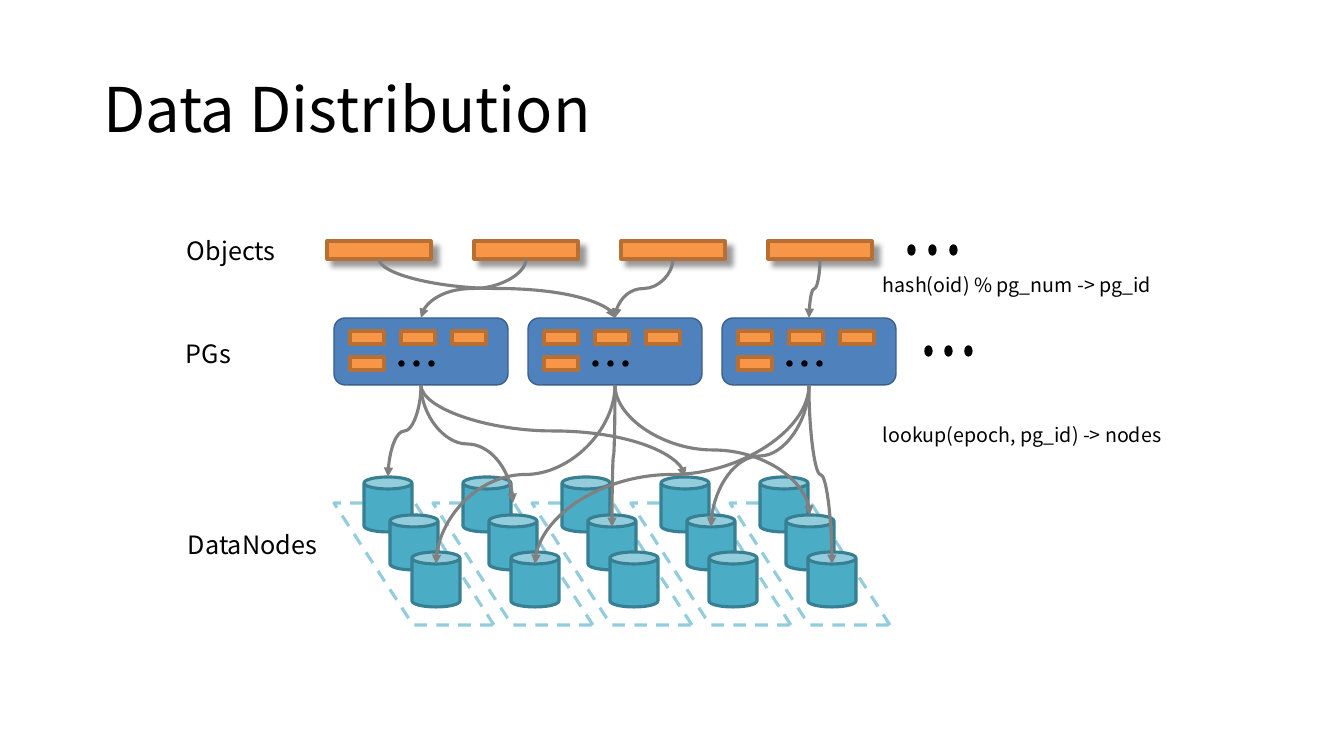
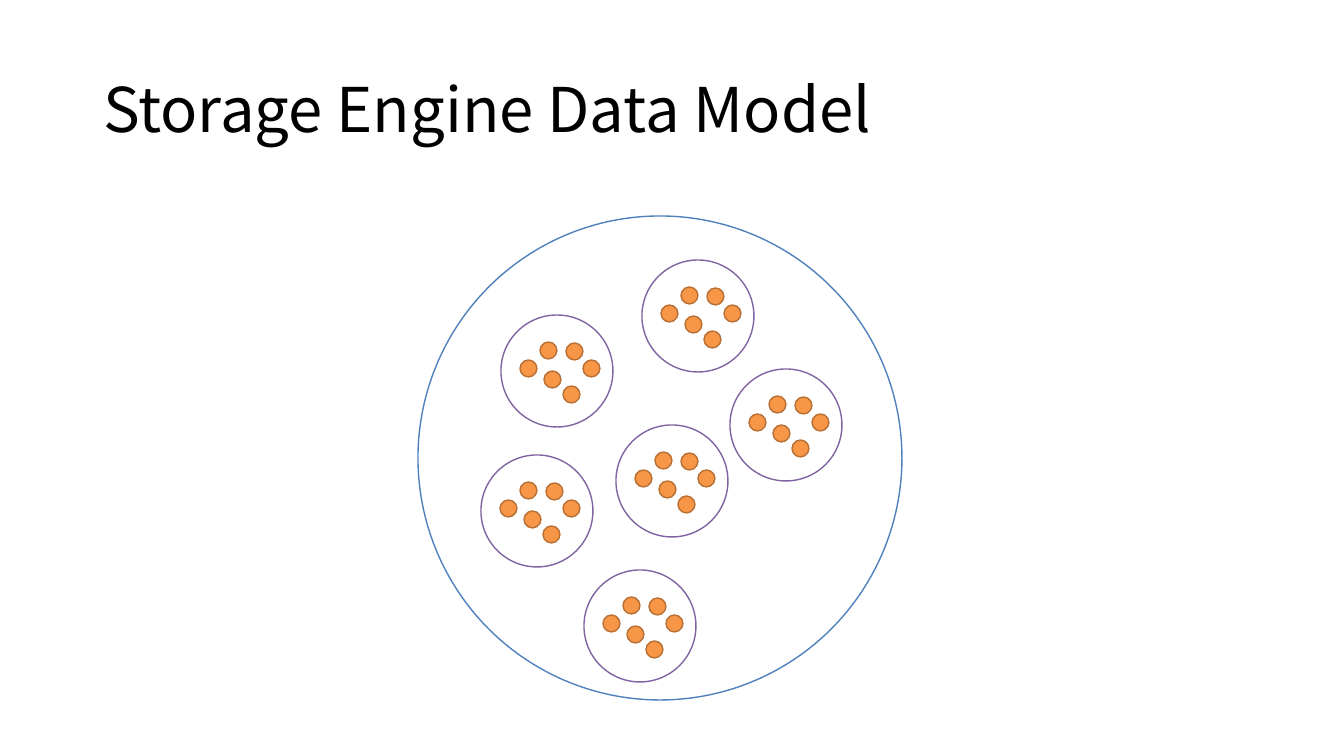
import pptx
import pptx.util
import pptx.dml.color
import pptx.enum.dml
import pptx.enum.shapes
import pptx.enum.text
import pptx.oxml
import pptx.oxml.ns
import lxml.etree

# Content; lengths are whole pixels
SLIDE_SIZE = (1344, 756)
SCALE = 914400 / 100.8
FONT = "Noto Sans CJK SC"
COLORS = {
    "black": "000000", "white": "FFFFFF", "orange": "F79646",
    "rust": "B76F34", "blue": "4F81BD", "navy": "3A5F8C",
    "teal": "4BACC6", "petrol": "377F92", "sky": "93CDDD",
    "gray": "808080", "purple": "8064A2",
}
TITLE_AREA = (93, 40, 1159, 146)
TITLES = ("Data Distribution", "Storage Engine Data Model")

LABELS = [  # text, area, point size
    ("Objects", (177, 230, 136, 40), 18),
    ("PGs", (176, 333, 136, 40), 18),
    ("DataNodes", (178, 524, 179, 40), 18),
    ("hash(oid) % pg_num -> pg_id", (873, 268, 401, 34), 14),
    ("lookup(epoch, pg_id) -> nodes", (873, 418, 401, 34), 14),
]
OBJECT_AREA, OBJECT_PITCH = (327, 241, 104, 18), 147
PG_AREA, PG_PITCH = (334, 318, 174, 67), 194
PG_CELLS = [(16, 13), (67, 13), (118, 13), (16, 39)]
CELL_SIZE = (34, 13)
RACK_AREA, RACK_PITCH = (334, 503, 160, 122), 99
RACK_COUNT = 5
NODE_OFFSETS = [(30, -26), (56, 12), (78, 49)]
NODE_SIZE = (48, 55)
ELLIPSES = [(908, 245, 21), (925, 346, 20)]  # left, top, pitch
OBJECT_TO_PG = [1, 0, 1, 2]
PG_TO_NODES = [  # rack, node, distance below the node's top
    [(0, 0, 0), (1, 1, -12), (3, 0, 0)],
    [(0, 2, 12), (2, 1, 12), (4, 1, 0)],
    [(1, 2, 12), (3, 1, 12), (4, 2, 12)],
]

ENGINE_AREA = (418, 216, 484, 484)
COLLECTIONS = [(501, 315), (642, 260), (616, 425),
               (481, 455), (730, 369), (584, 570)]
COLLECTION_SIZE = (112, 112)
ITEM_OFFSETS = [(39, 27), (65, 28), (82, 45), (19, 45), (43, 56), (62, 71)]
ITEM_SIZE = (17, 17)

KIND = pptx.enum.shapes.MSO_SHAPE
qn = pptx.oxml.ns.qn


def px(*lengths):
    """Turn pixels into EMU."""
    return [pptx.util.Emu(round(length * SCALE)) for length in lengths]


def rgb(name):
    """Look up a named colour."""
    return pptx.dml.color.RGBColor.from_string(COLORS[name])


def assign(target, values):
    """Set attributes from a dict of format values."""
    for name, value in values.items():
        setattr(target, name, value)


def format_text(frame, text, size, frame_format, para_format):
    """Write one paragraph in the deck's font."""
    assign(frame, frame_format)
    para = frame.paragraphs[0]
    assign(para, para_format)
    span = para.add_run()
    span.text = text
    assign(span.font, {"name": FONT, "size": pptx.util.Pt(size)})
    span.font.color.rgb = rgb("black")


def add_page(deck, title):
    """Add a slide with the shared title style."""
    page = deck.slides.add_slide(deck.slide_layouts[5])
    box = page.shapes.title
    assign(box, dict(zip(("left", "top", "width", "height"), px(*TITLE_AREA))))
    format_text(
        box.text_frame, title, 44,
        {"vertical_anchor": pptx.enum.text.MSO_ANCHOR.MIDDLE, "word_wrap": True},
        {"alignment": pptx.enum.text.PP_ALIGN.LEFT, "line_spacing": 0.9})
    return page


def add_label(page, text, area, size):
    """Add a wrapped text box."""
    box = page.shapes.add_textbox(*px(*area))
    format_text(box.text_frame, text, size, {"word_wrap": True}, {})


def add_figure(shapes, kind, area, fill, edge, weight):
    """Add a preset shape; without a fill name it stays hollow."""
    figure = shapes.add_shape(kind, *px(*area))
    figure.shadow.inherit = False
    if fill:
        figure.fill.solid()
        figure.fill.fore_color.rgb = rgb(fill)
    else:
        figure.fill.background()
    figure.line.color.rgb = rgb(edge)
    figure.line.width = pptx.util.Pt(weight)
    return figure


def add_drop_shadow(figure):
    """Give a shape a soft shadow to the lower right."""
    effects = figure._element.spPr.find(qn("a:effectLst"))
    shadow = lxml.etree.SubElement(
        effects, qn("a:outerShdw"), blurRad="50800", dist="76200",
        dir="2700000", algn="tl", rotWithShape="0")
    color = lxml.etree.SubElement(shadow, qn("a:srgbClr"), val=COLORS["black"])
    lxml.etree.SubElement(color, qn("a:alpha"), val="40000")


def add_dots(shapes, left, top, pitch, size):
    """Add three dots in a row."""
    for index in range(3):
        add_figure(shapes, KIND.OVAL, (left + index * pitch, top, *size),
                   "black", "black", 1)


def add_curve(page, start, end):
    """Add a curved arrow that leaves and arrives vertically."""
    (x1, y1), (x2, y2) = start, end
    drop, shift = y2 - y1, abs(x2 - x1)
    left, top = (x1 + x2 - drop) / 2, (y1 + y2 - shift) / 2
    ends = (left, left + drop)
    rightward = x2 > x1
    first, last = reversed(ends) if rightward else ends
    curve = page.shapes.add_connector(
        pptx.enum.shapes.MSO_CONNECTOR.CURVE,
        *px(first, top, last, top + shift))
    curve.line.color.rgb = rgb("gray")
    curve.line.width = pptx.util.Pt(2.25)
    properties = curve._element.spPr
    properties.find(qn("a:xfrm")).set("rot", "16200000" if rightward else "5400000")
    lxml.etree.SubElement(properties.find(qn("a:ln")), qn("a:tailEnd"), type="triangle")
    lxml.etree.SubElement(properties, qn("a:effectLst"))


def add_rack(page, left):
    """Add a dashed floor with its data nodes."""
    shapes = page.shapes.add_group_shape().shapes
    _, top, width, height = RACK_AREA
    floor = add_figure(shapes, KIND.PARALLELOGRAM, (left, top, width, height),
                       None, "sky", 2.25)
    floor.adjustments[0] = 0.648
    floor.line.dash_style = pptx.enum.dml.MSO_LINE.DASH
    floor._element.spPr.find(qn("a:xfrm")).set("flipH", "1")
    for dx, dy in NODE_OFFSETS:
        add_figure(shapes, KIND.CAN, (left + dx, top + dy, *NODE_SIZE),
                   "teal", "petrol", 2.25)


def add_placement_group(page, left):
    """Add a placement group holding small objects."""
    shapes = page.shapes.add_group_shape().shapes
    _, top, width, height = PG_AREA
    add_figure(shapes, KIND.ROUNDED_RECTANGLE, (left, top, width, height),
               "blue", "navy", 1)
    for dx, dy in PG_CELLS:
        add_figure(shapes, KIND.RECTANGLE, (left + dx, top + dy, *CELL_SIZE),
                   "orange", "rust", 2.25)
    add_dots(shapes, left + 65, top + 43, 15, (5, 5))


def build_distribution(page):
    """Draw objects, placement groups and data nodes with their links."""
    object_left, object_top, object_width, object_height = OBJECT_AREA
    pg_left, pg_top, pg_width, pg_height = PG_AREA
    rack_left, rack_top = RACK_AREA[:2]

    for rack in range(RACK_COUNT):
        add_rack(page, rack_left + rack * RACK_PITCH)
    for index in range(len(OBJECT_TO_PG)):
        area = (object_left + index * OBJECT_PITCH, *OBJECT_AREA[1:])
        add_drop_shadow(add_figure(page.shapes, KIND.RECTANGLE, area,
                                   "orange", "rust", 2.25))
    for index in range(len(PG_TO_NODES)):
        add_placement_group(page, pg_left + index * PG_PITCH)
    for left, top, pitch in ELLIPSES:
        add_dots(page.shapes.add_group_shape().shapes, left, top, pitch, (7, 10))

    pg_centers = [pg_left + index * PG_PITCH + pg_width / 2
                  for index in range(len(PG_TO_NODES))]
    for index, target in enumerate(OBJECT_TO_PG):
        center = object_left + index * OBJECT_PITCH + object_width / 2
        add_curve(page, (center, object_top + object_height),
                  (pg_centers[target], pg_top))
    for center, targets in zip(pg_centers, PG_TO_NODES):
        for rack, node, depth in targets:
            dx, dy = NODE_OFFSETS[node]
            x = rack_left + rack * RACK_PITCH + dx + NODE_SIZE[0] / 2
            add_curve(page, (center, pg_top + pg_height),
                      (x, rack_top + dy + depth))
    for label in LABELS:
        add_label(page, *label)


def build_model(page):
    """Draw the engine circle with its collections of items."""
    add_figure(page.shapes, KIND.OVAL, ENGINE_AREA, "white", "blue", 1)
    for left, top in COLLECTIONS:
        shapes = page.shapes.add_group_shape().shapes
        add_figure(shapes, KIND.OVAL, (left, top, *COLLECTION_SIZE),
                   "white", "purple", 1)
        for dx, dy in ITEM_OFFSETS:
            add_figure(shapes, KIND.OVAL, (left + dx, top + dy, *ITEM_SIZE),
                       "orange", "rust", 1)


deck = pptx.Presentation()
deck.slide_width, deck.slide_height = px(*SLIDE_SIZE)
for title, build in zip(TITLES, (build_distribution, build_model)):
    build(add_page(deck, title))
deck.save("out.pptx")
